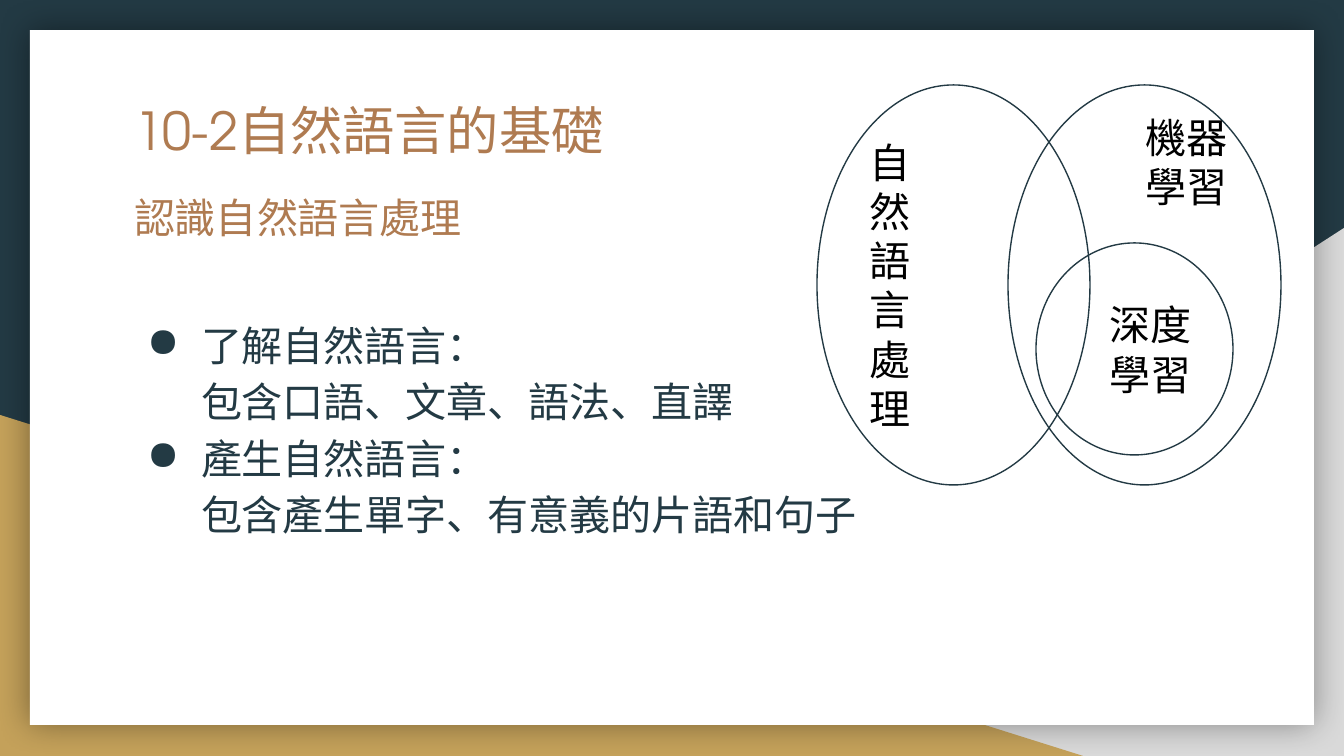
from pptx import Presentation
from pptx.dml.color import RGBColor
from pptx.enum.shapes import MSO_SHAPE as Shape
from pptx.enum.text import MSO_ANCHOR as Anchor, MSO_AUTO_SIZE as AutoSize, PP_ALIGN as Align
from pptx.oxml import parse_xml
from pptx.oxml.ns import nsdecls, qn
from pptx.util import Pt

EMU_PER_PX = 9144000 / 1344
NAVY, GOLD, GREY, BROWN, WHITE, BLACK = "233A44", "C4A15A", "D9D9D9", "AF7B51", "FFFFFF", "000000"


def px(length):
    return round(length * EMU_PER_PX)


def color(value):
    return RGBColor.from_string(value)


class SlideBuilder:
    inset = 13
    size = 22

    def __init__(self, presentation):
        self.slide = presentation.slides.add_slide(presentation.slide_layouts[5])

    def background(self, value):
        fill = self.slide.background.fill
        fill.solid()
        fill.fore_color.rgb = color(value)

    def shape(self, kind, box, fill=None, line=None):
        shape = self.slide.shapes.add_shape(kind, *map(px, box))
        shape.shadow.inherit = False
        if fill:
            shape.fill.solid()
            shape.fill.fore_color.rgb = color(fill)
        else:
            shape.fill.background()
        if line:
            shape.line.color.rgb = color(line)
            shape.line.width = Pt(0.75)
        else:
            shape.line.fill.background()
        return shape

    def triangle(self, box, fill, flipped=False):
        shape = self.shape(Shape.RIGHT_TRIANGLE, box, fill)
        if flipped:
            shape.element.spPr.find(qn("a:xfrm")).set("flipH", "1")

    def panel(self, box):
        shape = self.shape(Shape.RECTANGLE, box, WHITE)
        shape.element.spPr.find(qn("a:effectLst")).append(parse_xml(
            f'<a:outerShdw {nsdecls("a")} blurRad="{Pt(18)}" dist="0" algn="ctr" rotWithShape="0">'
            f'<a:srgbClr val="{BLACK}"><a:alpha val="40000"/></a:srgbClr></a:outerShdw>'))

    def frame(self, shape, anchor=Anchor.TOP, inset=inset):
        frame = shape.text_frame
        frame.word_wrap = True
        frame.auto_size = AutoSize.NONE
        frame.vertical_anchor = anchor
        frame.margin_left = frame.margin_right = px(inset)
        frame.margin_top = frame.margin_bottom = px(inset)
        return frame

    def style(self, paragraph, font, value, size=size, align=Align.LEFT):
        paragraph.alignment = align
        paragraph.font.name = font
        paragraph.font.size = Pt(size)
        paragraph.font.color.rgb = color(value)

    def lines(self, frame, texts, align):
        frame.text = "\n".join(texts)
        for paragraph in frame.paragraphs:
            self.style(paragraph, "Arial", BLACK, align=align)

    def title(self, box, text):
        title = self.slide.shapes.title
        title.left, title.top, title.width, title.height = map(px, box)
        # Bring the title in front of the panel
        self.slide.shapes.element.append(title.element)
        frame = self.frame(title)
        frame.text = text
        self.style(frame.paragraphs[0], "TeX Gyre Adventor", BROWN, 28)

    def body(self, box, heading, items):
        frame = self.frame(self.slide.shapes.add_textbox(*map(px, box)))
        frame.text = heading
        for item in items:
            frame.add_paragraph().text = item
        first, *bullets = frame.paragraphs
        self.style(first, "Calibri", BROWN)
        for paragraph in bullets:
            properties = paragraph._p.get_or_add_pPr()
            properties.set("marL", str(px(67)))
            properties.set("indent", str(px(-54)))
            properties.append(parse_xml(
                f'<a:buClr {nsdecls("a")}><a:srgbClr val="{NAVY}"/></a:buClr>'))
            properties.append(parse_xml(f'<a:buChar {nsdecls("a")} char="●"/>'))
            self.style(paragraph, "Calibri", NAVY)
        for paragraph in frame.paragraphs:
            paragraph.line_spacing = 1.15
        bullets[0].space_before = Pt(38)

    def ellipse(self, box, texts=(), align=Align.LEFT):
        shape = self.shape(Shape.OVAL, box, line=NAVY)
        if texts:
            self.lines(self.frame(shape, Anchor.MIDDLE), texts, align)

    def label(self, box, texts, align):
        shape = self.slide.shapes.add_textbox(*map(px, box))
        self.lines(self.frame(shape, inset=0), texts, align)


def main():
    presentation = Presentation()
    presentation.slide_width, presentation.slide_height = px(1344), px(756)
    builder = SlideBuilder(presentation)

    # Backdrop
    builder.background(NAVY)
    builder.triangle((527, 228, 817, 528), GREY, flipped=True)
    builder.triangle((0, 415, 1083, 341), GOLD)
    builder.panel((30, 30, 1284, 695))

    # Title and bullets
    builder.title((121, 85, 1103, 78), "10-2自然語言的基礎")
    builder.body((121, 172, 1103, 462), "認識自然語言處理", [
        "了解自然語言：\v包含口語、文章、語法、直譯",
        "產生自然語言：\v包含產生單字、有意義的片語和句子",
    ])

    # Venn diagram
    builder.ellipse((1008, 85, 273, 400))
    builder.label((1108, 112, 120, 100), ["機器", "學習"], Align.RIGHT)
    builder.ellipse((817, 85, 273, 400), list("自然語言處理"))
    builder.ellipse((1036, 243, 197, 212), ["深度", "學習"], Align.RIGHT)

    presentation.save("out.pptx")


if __name__ == "__main__":
    main()
